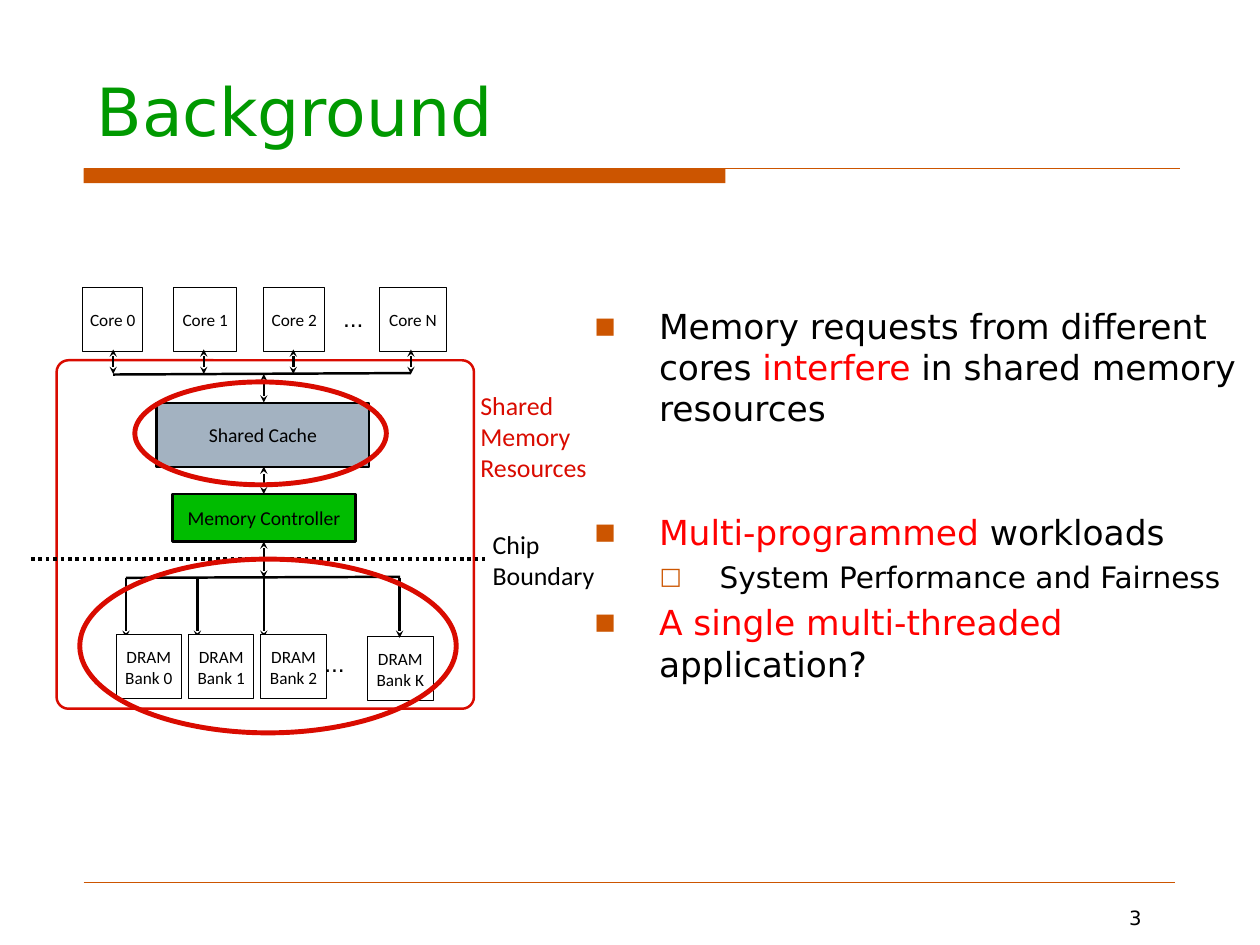
from lxml.etree import SubElement
from pptx import Presentation
from pptx.dml.color import RGBColor
from pptx.enum.dml import MSO_LINE
from pptx.enum.shapes import MSO_CONNECTOR, MSO_SHAPE
from pptx.enum.text import MSO_ANCHOR, PP_ALIGN
from pptx.oxml.ns import qn
from pptx.util import Inches, Pt

BLACK = RGBColor(0x00, 0x00, 0x00)
WHITE = RGBColor(0xFF, 0xFF, 0xFF)
RED = RGBColor(0xFF, 0x00, 0x00)
CRIMSON = RGBColor(0xD9, 0x0B, 0x00)
ORANGE = RGBColor(0xCC, 0x55, 0x00)
TITLE_GREEN = RGBColor(0x00, 0x99, 0x00)
CONTROLLER_GREEN = RGBColor(0x00, 0xBC, 0x00)
CACHE_GREY = RGBColor(0xA3, 0xB2, 0xC1)

deck = Presentation()
deck.slide_width = Inches(14.22)
deck.slide_height = Inches(10.67)
page = deck.slides.add_slide(deck.slide_layouts[6])
COLUMN = deck.slide_width / 128
ROW = deck.slide_height / 96


def write(box, text, size=14, font="Calibri", color=BLACK, accent=RED,
          align=PP_ALIGN.LEFT, anchor=MSO_ANCHOR.TOP, insets=(0.55, 0, 0.55, 0)):
    frame = box.text_frame
    frame.word_wrap = True
    frame.vertical_anchor = anchor
    left, top, right, bottom = insets
    frame.margin_left, frame.margin_right = int(left * COLUMN), int(right * COLUMN)
    frame.margin_top, frame.margin_bottom = int(top * ROW), int(bottom * ROW)
    for number, line in enumerate(text.split("\n")):
        para = frame.add_paragraph() if number else frame.paragraphs[0]
        para.alignment = align
        for part, words in enumerate(line.split("|")):
            if words:
                span = para.add_run()
                span.text = words
                span.font.size = Pt(size)
                span.font.name = font
                span.font.color.rgb = accent if part % 2 else color


def add_block(kind, left, top, width, height, fill=None, edge=None, weight=0.75):
    block = page.shapes.add_shape(kind, int(left * COLUMN), int(top * ROW),
                                  int(width * COLUMN), int(height * ROW))
    block.shadow.inherit = False
    if fill is None:
        block.fill.background()
    else:
        block.fill.solid()
        block.fill.fore_color.rgb = fill
    if edge is None:
        block.line.fill.background()
    else:
        block.line.color.rgb = edge
        block.line.width = Pt(weight)
    return block


add_block(MSO_SHAPE.RECTANGLE, 8.5, 17.1, 65.2, 1.5, fill=ORANGE)

CENTRED = {"align": PP_ALIGN.CENTER, "anchor": MSO_ANCHOR.MIDDLE}
BANK_WIDTH = 6.65
BLOCK_HEIGHT = 6.5
components = [
    ("Core 0", 8.4, 29.25, 6.1, BLOCK_HEIGHT, WHITE, 0.75, 14),
    ("Core 1", 17.65, 29.25, 6.4, BLOCK_HEIGHT, WHITE, 0.75, 14),
    ("Core 2", 26.8, 29.25, 6.2, BLOCK_HEIGHT, WHITE, 0.75, 14),
    ("Core N", 38.5, 29.25, 6.9, BLOCK_HEIGHT, WHITE, 0.75, 14),
    ("Shared Cache", 15.9, 40.95, 21.6, BLOCK_HEIGHT, CACHE_GREY, 2, 16),
    ("Memory Controller", 17.55, 50.2, 18.55, 4.8, CONTROLLER_GREEN, 2, 16),
    ("DRAM\nBank K", 37.35, 64.7, BANK_WIDTH, BLOCK_HEIGHT, WHITE, 0.75, 14),
]
for text, left, top, width, height, fill, weight, size in components:
    component = add_block(MSO_SHAPE.RECTANGLE, left, top, width, height, fill, BLACK, weight)
    write(component, text, size=size, **CENTRED)

shared_region = add_block(MSO_SHAPE.ROUNDED_RECTANGLE, 5.75, 36.6, 42.4, 35.4,
                          edge=CRIMSON, weight=2)
shared_region.adjustments[0] = 0.034

TRUNK = 26.8
CORE_BUS, BANK_BUS = 38, 58.7
BOTH, END, NONE = ("headEnd", "tailEnd"), ("tailEnd",), ()
links = [
    (8.5, 17.1, 119.9, 17.1, ORANGE, 0.75, NONE),
    (8.5, 89.6, 119.4, 89.6, ORANGE, 0.25, NONE),
    (11.5, 38.05, 41.75, 37.9, BLACK, 2, NONE),
    (12.8, BANK_BUS, 40.65, 58.6, BLACK, 2, NONE),
    (TRUNK, CORE_BUS, TRUNK, 40.9, BLACK, 2, BOTH),
    (TRUNK, 47.4, TRUNK, 50.2, BLACK, 2, BOTH),
    (TRUNK, 55, TRUNK, BANK_BUS, BLACK, 2, BOTH),
]
links += [(x, 35.5, x, CORE_BUS, BLACK, 2, BOTH) for x in (11.5, 20.7, 29.8, 41.75)]
links += [(x, BANK_BUS, x, 64.8, BLACK, 2, END) for x in (12.8, 20.05, TRUNK, 40.6)]
links.append((3.15, 56.8, 49.25, 56.8, BLACK, 3, NONE))
for x1, y1, x2, y2, color, weight, heads in links:
    link = page.shapes.add_connector(MSO_CONNECTOR.STRAIGHT, int(x1 * COLUMN), int(y1 * ROW),
                                     int(x2 * COLUMN), int(y2 * ROW))
    link.line.color.rgb = color
    link.line.width = Pt(weight)
    if weight == 3:
        link.line.dash_style = MSO_LINE.ROUND_DOT
    for head in heads:
        SubElement(link.line._get_or_add_ln(), qn("a:" + head), type="stealth")
    SubElement(link._element.spPr, qn("a:effectLst"))

add_block(MSO_SHAPE.OVAL, 13.7, 38.8, 25.55, 10.45, edge=CRIMSON, weight=4)
for number in range(3):
    bank = add_block(MSO_SHAPE.RECTANGLE, 11.8 + 7.35 * number, 64.5,
                     BANK_WIDTH, BLOCK_HEIGHT, WHITE, BLACK)
    write(bank, f"DRAM\nBank {number}", **CENTRED)
add_block(MSO_SHAPE.OVAL, 8.1, 56.8, 38.25, 17.65, edge=CRIMSON, weight=4)

BODY_TEXT = "\n".join([
    "Memory requests from different cores |interfere |in shared memory resources",
    "|Multi-programmed |workloads",
    "System Performance and Fairness",
    "|A single multi-threaded |application?",
])
labels = [
    ("Background", 8, 4.2, 112, 11.7,
     {"size": 54, "font": "DejaVu Sans", "color": TITLE_GREEN,
      "anchor": MSO_ANCHOR.BOTTOM, "insets": (1.8, 0.65, 1.6, 0.65)}),
    ("...", 32.4, 65.8, 4.8, 3.1, {"size": 20, "font": "Arial"}),
    ("...", 34.3, 30.8, 4, 3.1, {"size": 20, "font": "Arial"}),
    ("Shared Memory\nResources", 48.25, 39.6, 15, 9.5, {"size": 21, "color": CRIMSON}),
    ("Chip Boundary", 49.5, 53.7, 14.1, 6.5, {"size": 21}),
    ("3", 113.5, 91.6, 3.7, 3.4,
     {"size": 16, "font": "DejaVu Sans", "align": PP_ALIGN.CENTER, "insets": (0, 0.45, 0, 0)}),
    (BODY_TEXT, 59.1, 30.3, 68.9, 48.7,
     {"size": 28, "font": "DejaVu Sans", "insets": (1.3, 0.65, 1.3, 0.65)}),
]
for text, left, top, width, height, style in labels:
    box = page.shapes.add_textbox(int(left * COLUMN), int(top * ROW),
                                  int(width * COLUMN), int(height * ROW))
    write(box, text, **style)

body = box.text_frame
bullets = [
    ("■", "65000", 6.55, 6.55, 0),
    ("■", "65000", 6.55, 6.55, 67),
    ("□", "80000", 12.7, 6.1, 5),
    ("■", "65000", 6.55, 6.55, 6),
]
for para, (mark, scale, margin, hanging, space) in zip(body.paragraphs, bullets):
    para.space_before = Pt(space)
    settings = para._p.get_or_add_pPr()
    settings.set("marL", str(int(margin * COLUMN)))
    settings.set("indent", str(-int(hanging * COLUMN)))
    tint = SubElement(settings, qn("a:buClr"))
    SubElement(tint, qn("a:srgbClr"), val=str(ORANGE))
    SubElement(settings, qn("a:buSzPct"), val=scale)
    SubElement(settings, qn("a:buFont"), typeface="DejaVu Sans")
    SubElement(settings, qn("a:buChar"), char=mark)
body.paragraphs[2].runs[0].font.size = Pt(24)

deck.save("out.pptx")
